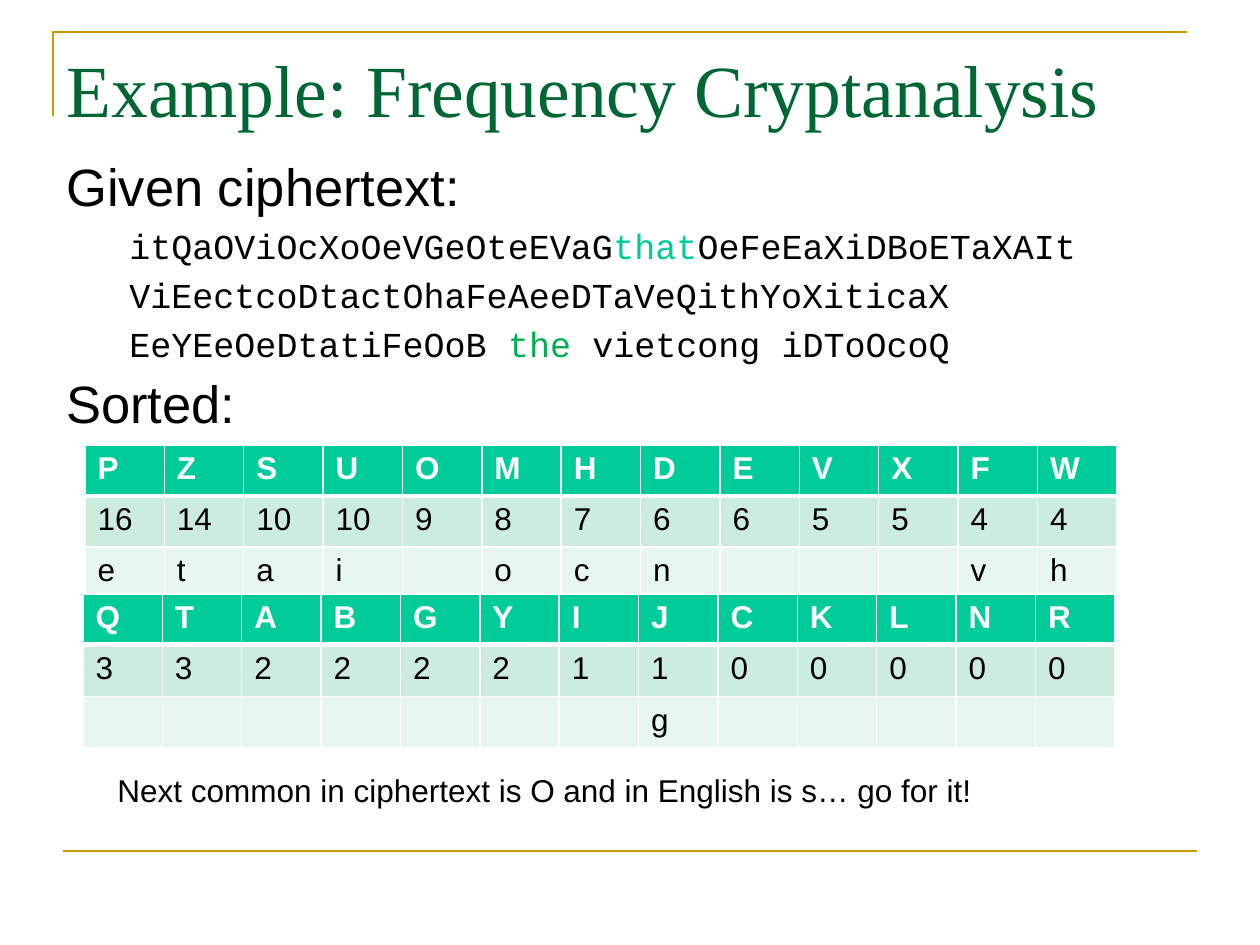
import pptx
import pptx.dml.color
import pptx.enum.shapes
import pptx.enum.text
import pptx.oxml
import pptx.oxml.ns
import pptx.util

RGBColor = pptx.dml.color.RGBColor
BLACK = RGBColor(0x00, 0x00, 0x00)
WHITE = RGBColor(0xFF, 0xFF, 0xFF)
GOLD = RGBColor(0xCC, 0x99, 0x00)
DARK_GREEN = RGBColor(0x00, 0x66, 0x33)
TEAL = RGBColor(0x00, 0xCC, 0x99)
GREEN = RGBColor(0x00, 0xB0, 0x50)
COUNT_FILL = RGBColor(0xCC, 0xEC, 0xDE)
GUESS_FILL = RGBColor(0xE7, 0xF6, 0xEF)

EMU_PER_PX = 914400 / 126


def px(length):
    return pptx.util.Emu(round(length * EMU_PER_PX))


class SlideBuilder:
    title_font, body_font, code_font = "Times New Roman", "Arial", "Courier New"

    def __init__(self, slide):
        self.slide = slide

    def style(self, paragraph, size, color=BLACK, font=None, bold=False):
        paragraph.font.name = font or self.body_font
        paragraph.font.size = pptx.util.Pt(size)
        paragraph.font.bold = bold
        paragraph.font.color.rgb = color

    def outline(self, line):
        line.color.rgb = GOLD
        line.width = pptx.util.Pt(1.5)

    def title(self, text, left, top, width, height):
        title = self.slide.shapes.title
        title.left, title.top = px(left), px(top)
        title.width, title.height = px(width), px(height)
        frame = title.text_frame
        frame.text = text
        frame.auto_size = pptx.enum.text.MSO_AUTO_SIZE.NONE
        frame.vertical_anchor = pptx.enum.text.MSO_ANCHOR.TOP
        frame.paragraphs[0].alignment = pptx.enum.text.PP_ALIGN.LEFT
        self.style(frame.paragraphs[0], 42, DARK_GREEN, self.title_font)

    def text_box(self, left, top, width, height, wrap=True):
        box = self.slide.shapes.add_textbox(px(left), px(top), px(width), px(height))
        box.text_frame.word_wrap = wrap
        return box.text_frame

    def heading(self, paragraph, text, space_before=0):
        paragraph.text = text
        paragraph.line_spacing = 0.9
        paragraph.space_before = pptx.util.Pt(space_before)
        self.style(paragraph, 30)

    def cipher_line(self, paragraph, parts):
        properties = paragraph._p.get_or_add_pPr()
        properties.set("marL", str(px(63)))
        properties.set("indent", "0")
        paragraph.line_spacing = 0.9
        paragraph.space_before = pptx.util.Pt(6.5)
        self.style(paragraph, 20, font=self.code_font)
        for text, color in parts:
            run = paragraph.add_run()
            run.text = text
            run.font.color.rgb = color

    def open_frame(self, start, *corners):
        builder = self.slide.shapes.build_freeform(*start, scale=EMU_PER_PX)
        builder.add_line_segments(corners, close=False)
        frame = builder.convert_to_shape()
        frame.shadow.inherit = False
        frame.fill.background()
        self.outline(frame.line)

    def rule(self, left, right, y):
        rule = self.slide.shapes.add_connector(
            pptx.enum.shapes.MSO_CONNECTOR.STRAIGHT, px(left), px(y), px(right), px(y))
        self.outline(rule.line)
        rule._element.spPr.append(pptx.oxml.parse_xml(
            "<a:effectLst %s/>" % pptx.oxml.ns.nsdecls("a")))

    def borders(self, cell, top, bottom):
        properties = cell._tc.get_or_add_tcPr()
        for side, points in (("L", 1), ("R", 1), ("T", top), ("B", bottom)):
            properties.append(pptx.oxml.parse_xml(
                f'<a:ln{side} {pptx.oxml.ns.nsdecls("a")} w="{pptx.util.Pt(points)}">'
                f'<a:solidFill><a:srgbClr val="{WHITE}"/></a:solidFill></a:ln{side}>'))

    def frequency_table(self, left, top, width, row_heights, rows):
        table = self.slide.shapes.add_table(
            len(rows), len(rows[0]), px(left), px(top), px(width),
            px(sum(row_heights))).table
        # Fill, top border, bottom border for letters, counts and guesses
        looks = ((TEAL, 1, 3), (COUNT_FILL, 3, 1), (GUESS_FILL, 1, 1))
        for r, (values, (fill, above, below)) in enumerate(zip(rows, looks)):
            table.rows[r].height = px(row_heights[r])
            for c, value in enumerate(values):
                cell = table.cell(r, c)
                self.borders(cell, above, below)
                cell.fill.solid()
                cell.fill.fore_color.rgb = fill
                cell.text = value
                self.style(cell.text_frame.paragraphs[0], 18,
                           WHITE if r == 0 else BLACK, bold=r == 0)


def main():
    deck = pptx.Presentation()
    deck.slide_width, deck.slide_height = px(1260), px(945)
    page = SlideBuilder(deck.slides.add_slide(deck.slide_layouts[5]))

    # Gold frame lines
    page.open_frame((53, 116), (53, 32), (1187, 32))
    page.rule(63, 1197, 851)

    page.title("Example: Frequency Cryptanalysis", 54, 38, 1143, 189)

    # Ciphertext with the guessed words coloured
    body = page.text_box(54, 155, 1187, 290)
    page.heading(body.paragraphs[0], "Given ciphertext:")
    cipher_lines = (
        (("itQaOViOcXoOeVGeOteEVaG", BLACK), ("that", TEAL), ("OeFeEaXiDBoETaXAIt", BLACK)),
        (("ViEectcoDtactOhaFeAeeDTaVeQithYoXiticaX", BLACK),),
        (("EeYEeOeDtatiFeOoB ", BLACK), ("the ", GREEN), ("vietcong iDToOcoQ", BLACK)),
    )
    for parts in cipher_lines:
        page.cipher_line(body.add_paragraph(), parts)
    page.heading(body.add_paragraph(), "Sorted:", 7.5)

    # Letters, their counts and the guessed plaintext
    page.frequency_table(85, 445, 1032, (51, 51, 51), (
        "PZSUOMHDEVXFW",
        "16 14 10 10 9 8 7 6 6 5 5 4 4".split(),
        ("e", "t", "a", "i", "", "o", "c", "n", "", "", "", "v", "h"),
    ))
    page.frequency_table(83, 594, 1032, (46, 52, 51), (
        "QTABGYIJCKLNR",
        "3322221100000",
        [""] * 7 + ["g"] + [""] * 5,
    ))

    # Next step
    note = page.text_box(105, 765, 888, 50, wrap=False)
    note.text = "Next common in ciphertext is O and in English is s… go for it!"
    page.style(note.paragraphs[0], 18)

    deck.save("out.pptx")


if __name__ == "__main__":
    main()
